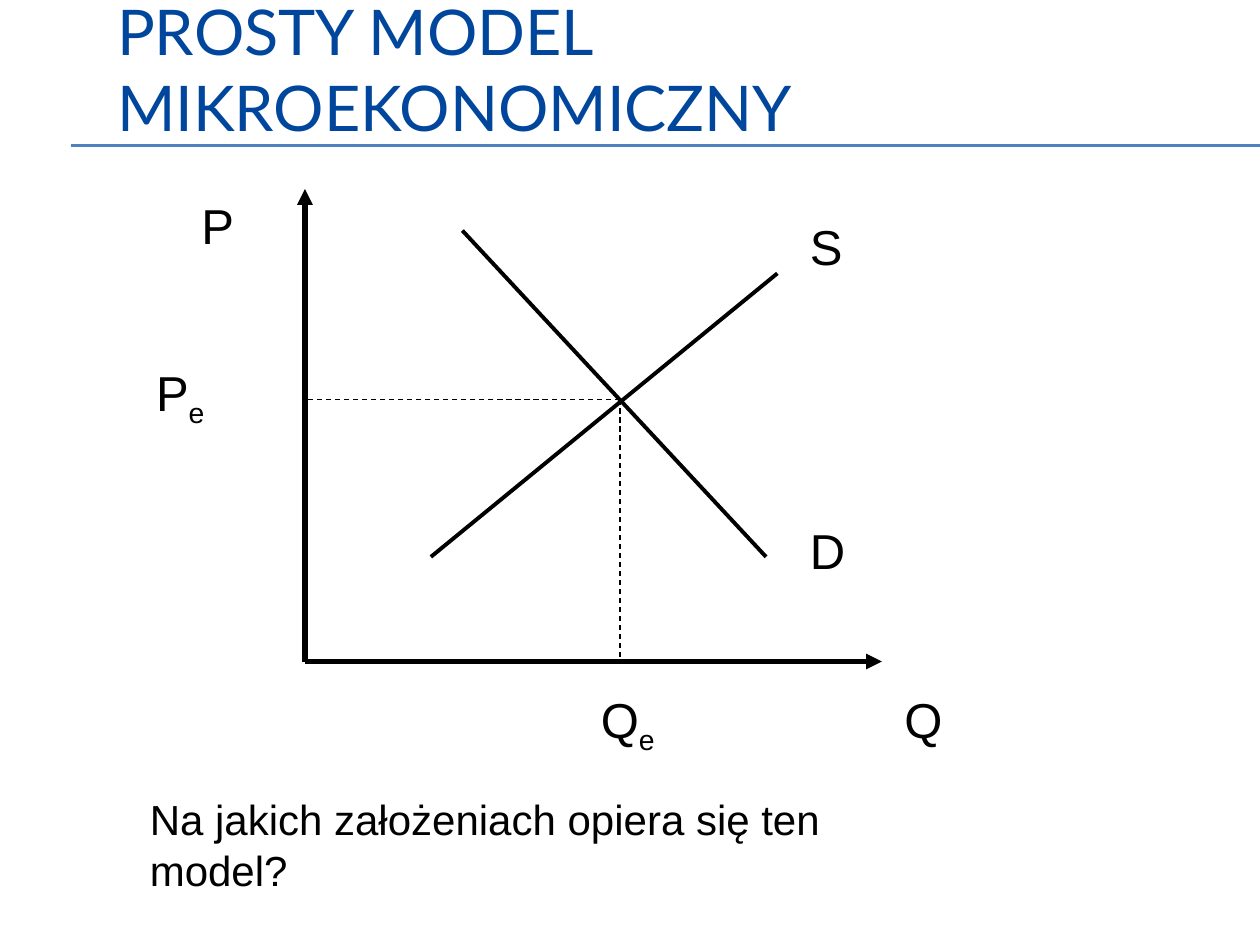
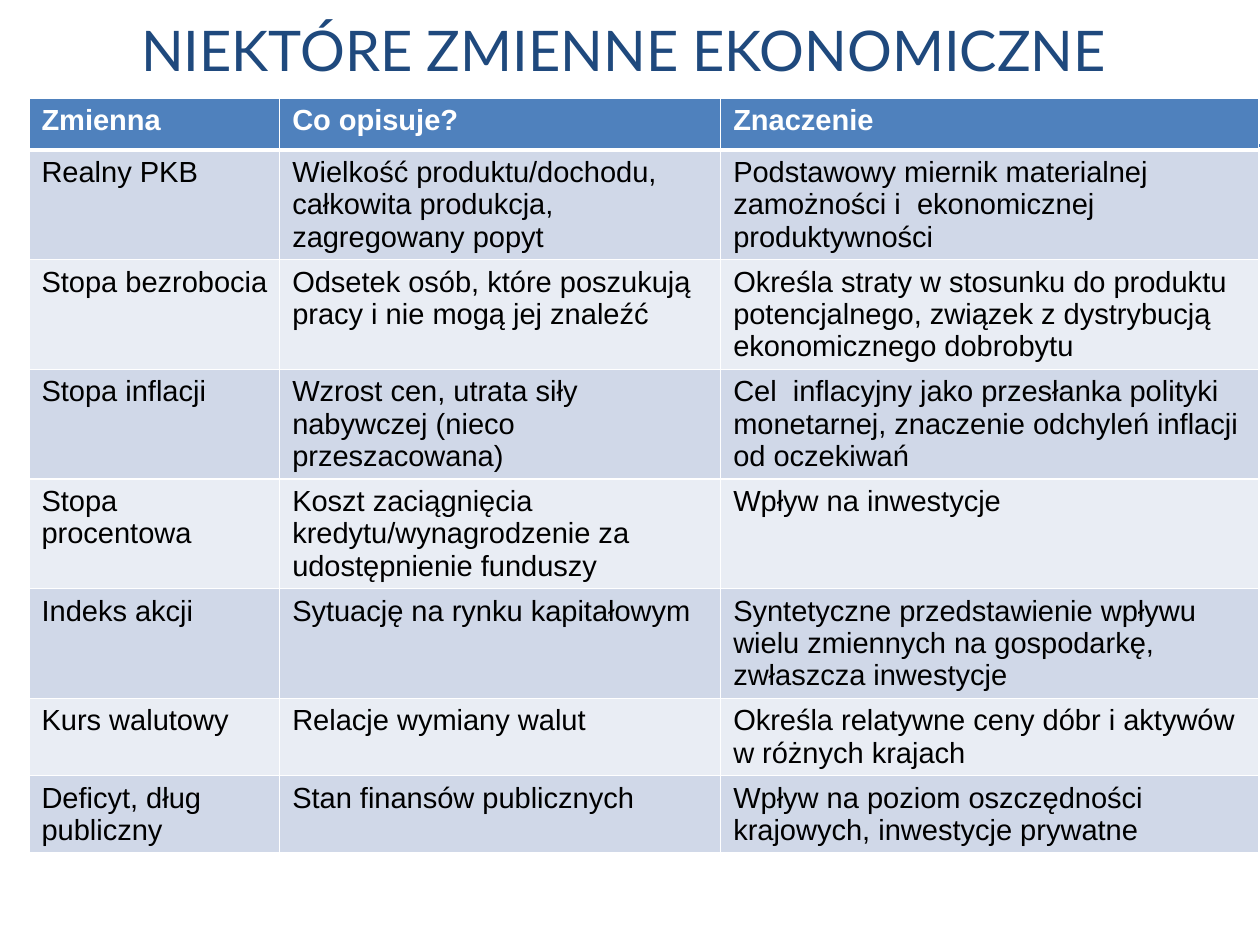
from lxml import etree
from pptx import Presentation
from pptx.dml.color import RGBColor
from pptx.enum.dml import MSO_LINE
from pptx.enum.shapes import MSO_CONNECTOR
from pptx.enum.text import MSO_ANCHOR, MSO_AUTO_SIZE, PP_ALIGN
from pptx.oxml.ns import qn
from pptx.util import Inches, Pt

STRAIGHT = MSO_CONNECTOR.STRAIGHT
DASH = MSO_LINE.DASH
MIDDLE = MSO_ANCHOR.MIDDLE
LEFT = PP_ALIGN.LEFT
FIT_SHAPE = MSO_AUTO_SIZE.SHAPE_TO_FIT_TEXT
NO_FIT = MSO_AUTO_SIZE.NONE
TITLE_ONLY = 5

COLORS = {
    "title": "00469C",
    "navy": "1F497D",
    "accent": "4F81BD",
    "band_dark": "D0D8E8",
    "band_light": "E9EDF4",
    "black": "000000",
    "white": "FFFFFF",
}
TITLE_FONT = "Lato"
BODY_FONT = "Arial"

VARIABLES = [
    ("Zmienna", "Co opisuje?", "Znaczenie"),
    ("Realny PKB",
     "Wielkość produktu/dochodu, całkowita produkcja, zagregowany popyt",
     "Podstawowy miernik materialnej zamożności i  ekonomicznej produktywności"),
    ("Stopa bezrobocia",
     "Odsetek osób, które poszukują pracy i nie mogą jej znaleźć",
     "Określa straty w stosunku do produktu potencjalnego, związek z dystrybucją "
     "ekonomicznego dobrobytu"),
    ("Stopa inflacji",
     "Wzrost cen, utrata siły nabywczej (nieco przeszacowana)",
     "Cel  inflacyjny jako przesłanka polityki monetarnej, znaczenie odchyleń "
     "inflacji od oczekiwań"),
    ("Stopa procentowa",
     "Koszt zaciągnięcia kredytu/wynagrodzenie za udostępnienie funduszy",
     "Wpływ na inwestycje"),
    ("Indeks akcji",
     "Sytuację na rynku kapitałowym",
     "Syntetyczne przedstawienie wpływu wielu zmiennych na gospodarkę, "
     "zwłaszcza inwestycje"),
    ("Kurs walutowy",
     "Relacje wymiany walut",
     "Określa relatywne ceny dóbr i aktywów w różnych krajach"),
    ("Deficyt, dług publiczny",
     "Stan finansów publicznych",
     "Wpływ na poziom oszczędności krajowych, inwestycje prywatne"),
]


def rgb(name):
    return RGBColor.from_string(COLORS[name])


class Deck:
    def __init__(self):
        self.presentation = Presentation()
        self.presentation.slide_width = Inches(10)
        self.presentation.slide_height = Inches(7.5)
        self.layout = self.presentation.slide_layouts[TITLE_ONLY]
        self.slide = None
        self.shapes = None

    def add_slide(self):
        self.slide = self.presentation.slides.add_slide(self.layout)
        self.shapes = self.slide.shapes

    def start_group(self):
        """Collect the shapes that follow in one group."""
        self.shapes = self.slide.shapes.add_group_shape().shapes

    def end_group(self):
        self.shapes = self.slide.shapes

    def style_font(self, font, size, color="black", name=BODY_FONT, bold=False):
        font.size = Pt(size)
        font.name = name
        font.bold = bold
        font.color.rgb = rgb(color)

    def title(self, text, left, height, size, color):
        shape = self.slide.shapes.title
        shape.left, shape.top = Inches(left), Inches(0)
        shape.width, shape.height = Inches(8.5), Inches(height)
        frame = shape.text_frame
        frame.text = text
        frame.auto_size = NO_FIT
        frame.vertical_anchor = MIDDLE
        paragraph = frame.paragraphs[0]
        paragraph.alignment = LEFT
        self.style_font(paragraph.runs[0].font, size, color, TITLE_FONT)

    def line(self, start, end, width, color="black", dashed=False, arrow=False):
        points = [Inches(value) for value in (*start, *end)]
        connector = self.shapes.add_connector(STRAIGHT, *points)
        connector.line.color.rgb = rgb(color)
        connector.line.width = Pt(width)
        if dashed:
            connector.line.dash_style = DASH
        if arrow:
            line = connector.line._get_or_add_ln()
            etree.SubElement(line, qn("a:tailEnd"), type="triangle")
        etree.SubElement(connector.element.spPr, qn("a:effectLst"))
        return connector

    def layout_rules(self):
        """Put the double rule under the title on the shared layout."""
        for number, top in enumerate((1.15, 1.16)):
            rule = self.line((0.56, top), (10, top), 0.75, "accent")
            rule.element.nvCxnSpPr.cNvPr.id = 100 + number
            self.layout.shapes.element.append(rule.element)

    def text(self, text, left, top, width, height, size, subscript=""):
        box = self.shapes.add_textbox(
            Inches(left), Inches(top), Inches(width), Inches(height))
        frame = box.text_frame
        frame.word_wrap = True
        frame.auto_size = FIT_SHAPE
        frame.text = text
        paragraph = frame.paragraphs[0]
        if subscript:
            run = paragraph.add_run()
            run.text = subscript
            run._r.get_or_add_rPr().set("baseline", "-25000")
        for run in paragraph.runs:
            self.style_font(run.font, size)

    def cell_borders(self, cell, bottom):
        properties = cell._tc.get_or_add_tcPr()
        for side, width in (("L", 1), ("R", 1), ("T", 1), ("B", bottom)):
            line = etree.SubElement(
                properties, qn(f"a:ln{side}"), w=str(Pt(width)))
            fill = etree.SubElement(line, qn("a:solidFill"))
            etree.SubElement(fill, qn("a:srgbClr"), val=COLORS["white"])

    def table(self, rows, left, top, widths, row_height, size):
        frame = self.shapes.add_table(
            len(rows), len(widths), Inches(left), Inches(top),
            Inches(sum(widths)), Inches(row_height * len(rows)))
        table = frame.table
        for column, width in zip(table.columns, widths):
            column.width = Inches(width)
        for row_number, row in enumerate(rows):
            header = row_number == 0
            band = "band_dark" if row_number % 2 else "band_light"
            for column_number, text in enumerate(row):
                cell = table.cell(row_number, column_number)
                self.cell_borders(cell, 3 if header else 1)
                cell.fill.solid()
                cell.fill.fore_color.rgb = rgb("accent" if header else band)
                cell.text_frame.text = text
                self.style_font(cell.text_frame.paragraphs[0].runs[0].font, size,
                                "white" if header else "black", bold=header)


def market_model(deck):
    deck.add_slide()
    deck.layout_rules()
    deck.title("PROSTY MODEL MIKROEKONOMICZNY", 0.83, 1.08, 36, "title")

    origin = (2.42, 5.25)
    equilibrium = (4.92, 3.17)
    deck.start_group()
    for axis_end in ((origin[0], 1.5), (7, origin[1])):
        deck.line(origin, axis_end, 3, arrow=True)
    supply = ((3.42, 4.42), (6.17, 2.17))
    demand = ((3.67, 1.83), (6.08, 4.42))
    for curve in (supply, demand):
        deck.line(*curve, 2.25)
    for foot in ((equilibrium[0], origin[1]), (origin[0], equilibrium[1])):
        deck.line(equilibrium, foot, 0.75, dashed=True)
    for label, subscript, left, top, width in (
            ("P", "", 1.5, 1.5, 0.67),
            ("Q", "", 7.08, 5.42, 0.5),
            ("S", "", 6.33, 1.67, 0.58),
            ("D", "", 6.33, 4.08, 0.5),
            ("Q", "e", 4.67, 5.42, 0.75),
            ("P", "e", 1.14, 2.83, 1.11)):
        deck.text(label, left, top, width, 0.57, 28, subscript)
    deck.end_group()
    deck.text("Na jakich założeniach opiera się ten model?",
              1.09, 6.25, 6.25, 0.51, 24)


def economic_variables(deck):
    deck.add_slide()
    deck.title("NIEKTÓRE ZMIENNE EKONOMICZNE", 1.02, 0.78, 32, "navy")
    deck.table(VARIABLES, 0.23, 0.78, (1.99, 3.5, 4.27), 0.41, 16.6)


def main():
    deck = Deck()
    market_model(deck)
    economic_variables(deck)
    deck.presentation.save("out.pptx")


if __name__ == "__main__":
    main()
